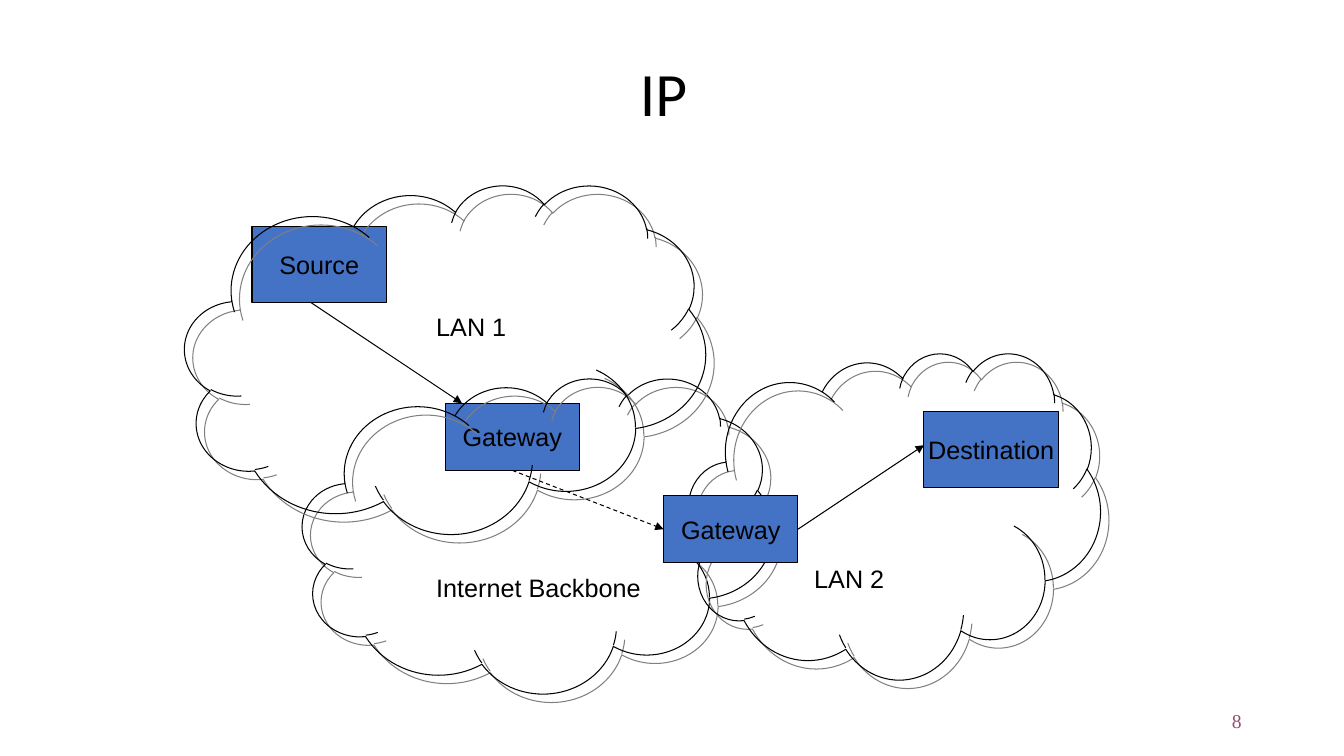
from dataclasses import dataclass

from lxml import etree
from pptx import Presentation
from pptx.dml.color import RGBColor
from pptx.enum.dml import MSO_LINE
from pptx.enum.shapes import MSO_CONNECTOR, MSO_SHAPE
from pptx.enum.text import MSO_ANCHOR, MSO_AUTO_SIZE, PP_ALIGN
from pptx.oxml.ns import qn
from pptx.util import Pt

RECTANGLE, CLOUD = MSO_SHAPE.RECTANGLE, MSO_SHAPE.CLOUD
STRAIGHT, DASH = MSO_CONNECTOR.STRAIGHT, MSO_LINE.DASH
TOP, MIDDLE = MSO_ANCHOR.TOP, MSO_ANCHOR.MIDDLE
LEFT, CENTER, RIGHT = PP_ALIGN.LEFT, PP_ALIGN.CENTER, PP_ALIGN.RIGHT
FIT_SHAPE = MSO_AUTO_SIZE.SHAPE_TO_FIT_TEXT
LEFT_SIDE, BOTTOM_SIDE, RIGHT_SIDE = 1, 2, 3


@dataclass(frozen=True)
class Theme:
    ink: str = "000000"
    node: str = "4472C4"
    shadow: str = "808080"
    number: str = "954F72"
    title_font: str = "Calibri"
    body_font: str = "Arial"
    number_font: str = "Times New Roman"
    title_size: float = 44
    body_size: float = 18
    number_size: float = 14
    line_width: float = 0.75
    shadow_offset: float = 8.5


THEME = Theme()

# Content, all boxes as left, top, width, height in points
TITLE = ("IP", (150, 24, 648, 90))
PAGE_NUMBER = ("8", (678, 500.5, 216, 29))
NODES = {
    "source": ("Source", (180, 162, 96, 54)),
    "gateway 1": ("Gateway", (318, 288, 96, 48)),
    "gateway 2": ("Gateway", (474, 354, 96, 48)),
    "destination": ("Destination", (660, 294, 96, 54)),
}
CLOUDS = {
    "backbone": (216, 270, 336, 225),
    "lan 1": (132, 132, 372, 249),
    "lan 2": (492, 252, 294, 233),
}
LABELS = [
    ("LAN 1", (304.5, 219, 65, 29)),
    ("Internet Backbone", (304.5, 405, 160.5, 29)),
    ("LAN 2", (574.5, 399, 65, 29)),
]
# Arrows: start, end, start joint, end joint, dashed
ARROWS = {
    "to gateway 1": ((222, 216), (330, 288), None, None, False),
    "across backbone": ((366, 336), (474, 378), ("gateway 1", BOTTOM_SIDE),
                        ("gateway 2", LEFT_SIDE), True),
    "to destination": ((570, 378), (660, 318), ("gateway 2", RIGHT_SIDE),
                       None, False),
}
# Stacking from back to front
STACK = [
    ("node", "source"), ("node", "gateway 1"),
    ("cloud", "backbone"), ("arrow", "to gateway 1"),
    ("cloud", "lan 1"), ("cloud", "lan 2"),
    ("node", "gateway 2"), ("arrow", "across backbone"),
    ("node", "destination"), ("arrow", "to destination"),
]


def points(values):
    return [Pt(value) for value in values]


def rgb(colour):
    return RGBColor.from_string(colour)


def write(box, text, font, size, colour, align, anchor):
    frame = box.text_frame
    frame.text = text
    frame.vertical_anchor = anchor
    para = frame.paragraphs[0]
    para.alignment = align
    span = para.runs[0].font
    span.name, span.size = font, Pt(size)
    span.color.rgb = rgb(colour)
    return para


def add_text(page, text, place, font, size, colour, align, anchor):
    box = page.shapes.add_textbox(*points(place))
    box.text_frame.word_wrap = True
    return box, write(box, text, font, size, colour, align, anchor)


def draw_outline(shape):
    shape.line.color.rgb = rgb(THEME.ink)
    shape.line.width = Pt(THEME.line_width)


def add_node(page, name):
    text, place = NODES[name]
    box = page.shapes.add_shape(RECTANGLE, *points(place))
    box.shadow.inherit = False
    box.fill.solid()
    box.fill.fore_color.rgb = rgb(THEME.node)
    draw_outline(box)
    write(box, text, THEME.body_font, THEME.body_size, THEME.ink, CENTER, MIDDLE)
    box.text_frame.word_wrap = False
    return box


def add_cloud(page, name):
    cloud = page.shapes.add_shape(CLOUD, *points(CLOUDS[name]))
    cloud.shadow.inherit = False
    cloud.fill.background()
    draw_outline(cloud)
    # Diagonal hard-edged shadow
    effects = cloud._element.spPr.find(qn("a:effectLst"))
    shadow = etree.SubElement(
        effects, qn("a:outerShdw"), blurRad="0",
        dist=str(int(Pt(THEME.shadow_offset))), dir="2700000",
        algn="ctr", rotWithShape="0")
    etree.SubElement(shadow, qn("a:srgbClr"), val=THEME.shadow)


def add_arrow(page, name):
    start, end, _, _, dashed = ARROWS[name]
    arrow = page.shapes.add_connector(STRAIGHT, *points(start + end))
    draw_outline(arrow)
    if dashed:
        arrow.line.dash_style = DASH
    properties = arrow._element.spPr
    etree.SubElement(properties.find(qn("a:ln")), qn("a:tailEnd"), type="triangle")
    etree.SubElement(properties, qn("a:effectLst"))
    return arrow


def main():
    deck = Presentation()
    deck.slide_width, deck.slide_height = Pt(960), Pt(540)
    page = deck.slides.add_slide(deck.slide_layouts[6])

    # Page number and title
    add_text(page, *PAGE_NUMBER, THEME.number_font, THEME.number_size,
             THEME.number, RIGHT, MIDDLE)
    _, para = add_text(page, *TITLE, THEME.title_font, THEME.title_size,
                       THEME.ink, CENTER, MIDDLE)
    para.line_spacing = 0.9

    # Networks, machines and routes
    makers = {"node": add_node, "cloud": add_cloud, "arrow": add_arrow}
    drawn = {name: makers[kind](page, name) for kind, name in STACK}

    # Joints between arrows and machines
    for name, (_, _, start_joint, end_joint, _) in ARROWS.items():
        if start_joint:
            drawn[name].begin_connect(drawn[start_joint[0]], start_joint[1])
        if end_joint:
            drawn[name].end_connect(drawn[end_joint[0]], end_joint[1])

    # Network labels
    for text, place in LABELS:
        box, _ = add_text(page, text, place, THEME.body_font, THEME.body_size,
                          THEME.ink, LEFT, TOP)
        box.text_frame.word_wrap = False
        box.text_frame.auto_size = FIT_SHAPE

    deck.save("out.pptx")


if __name__ == "__main__":
    main()
